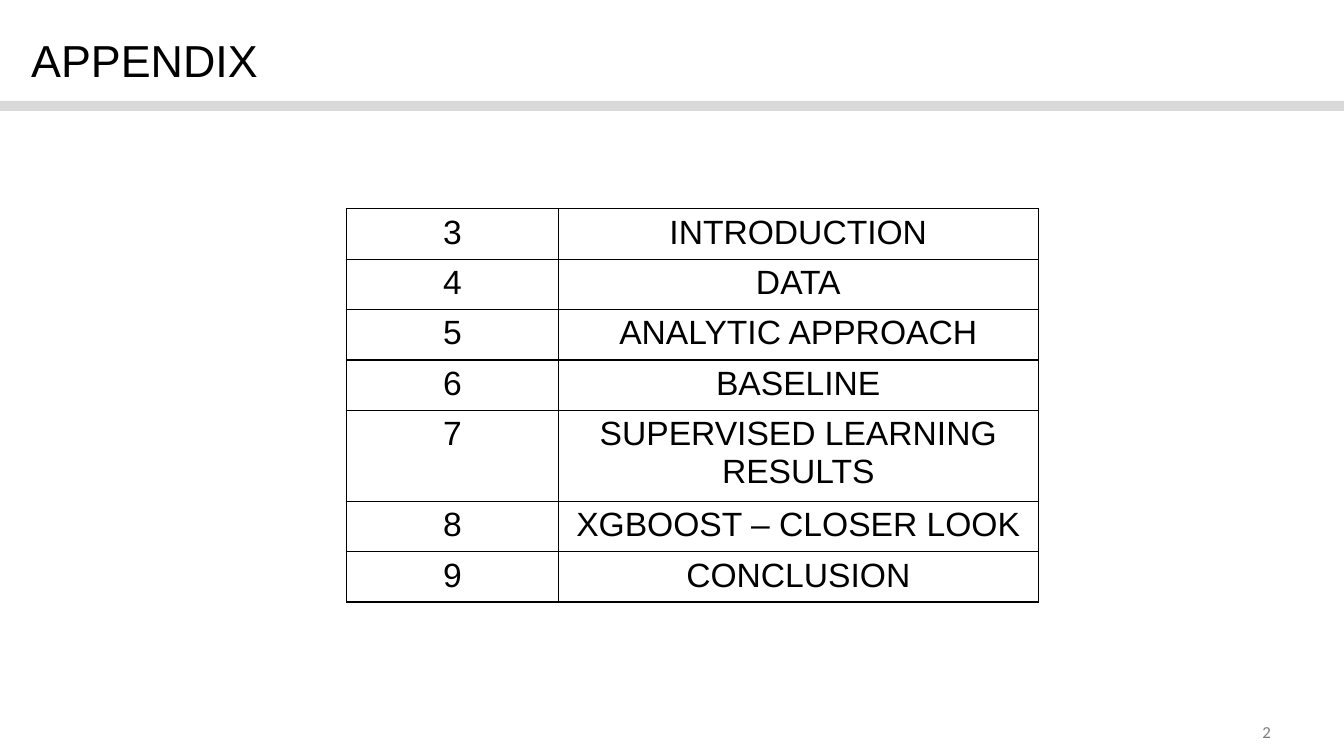
from dataclasses import dataclass

from lxml import etree
from pptx import Presentation
from pptx.dml.color import RGBColor
from pptx.enum.shapes import MSO_SHAPE
from pptx.enum.text import PP_ALIGN
from pptx.oxml.ns import qn
from pptx.util import Inches, Pt

RECT = MSO_SHAPE.RECTANGLE
CENTER = PP_ALIGN.CENTER


@dataclass(frozen=True)
class Theme:
    ink: str = "000000"
    bar: str = "D9D9D9"
    muted: str = "7E7E7E"
    title: int = 32
    body: int = 24
    small: int = 12
    font: str = "Arial"
    number_font: str = "Calibri"


class Deck:
    """Draws on one slide; lengths are percentages of its width and height."""

    def __init__(self, theme):
        self.theme = theme
        self.prs = Presentation()
        self.prs.slide_width, self.prs.slide_height = Inches(13.33), Inches(7.5)
        self.s = self.prs.slides.add_slide(self.prs.slide_layouts[6])

    def x(self, share):
        return round(self.prs.slide_width * share / 100)

    def y(self, share):
        return round(self.prs.slide_height * share / 100)

    def box(self, left, top, width, height):
        return self.x(left), self.y(top), self.x(width), self.y(height)

    def set_text(self, tf, text, size, color, font, align=None):
        p = tf.paragraphs[0]
        p.text = text
        p.alignment = align
        p.font.size, p.font.name = Pt(size), font
        p.font.color.rgb = RGBColor.from_string(color)

    def bar(self, *area):
        sp = self.s.shapes.add_shape(RECT, *self.box(*area))
        sp.shadow.inherit = False
        sp.fill.solid()
        sp.fill.fore_color.rgb = RGBColor.from_string(self.theme.bar)
        sp.line.fill.background()

    def text(self, area, text, size, color, font, left=0, top=0):
        tf = self.s.shapes.add_textbox(*self.box(*area)).text_frame
        tf.word_wrap = True
        tf.margin_left, tf.margin_top = Inches(left), Inches(top)
        tf.margin_right = tf.margin_bottom = 0
        self.set_text(tf, text, size, color, font)

    def border(self, cell):
        tc_pr = cell._tc.get_or_add_tcPr()
        for i, side in enumerate(("lnL", "lnR", "lnT", "lnB")):
            ln = etree.Element(qn(f"a:{side}"), w=str(Pt(1)))
            fill = etree.SubElement(ln, qn("a:solidFill"))
            etree.SubElement(fill, qn("a:srgbClr"), val=self.theme.ink)
            tc_pr.insert(i, ln)

    def table(self, left, top, widths, heights, rows):
        area = self.box(left, top, sum(widths), sum(heights))
        table = self.s.shapes.add_table(len(rows), len(widths), *area).table
        table.first_row = table.horz_banding = False
        for column, width in zip(table.columns, widths):
            column.width = self.x(width)
        for row, height, values in zip(table.rows, heights, rows):
            row.height = self.y(height)
            for cell, value in zip(row.cells, values):
                cell.fill.background()
                self.set_text(cell.text_frame, value, self.theme.body,
                              self.theme.ink, self.theme.font, CENTER)
                self.border(cell)


def main():
    t = Theme()
    deck = Deck(t)

    # Header
    deck.bar(0, 13.33, 100, 1.33)
    deck.text((1.58, 2.93, 76.9, 4.27), "APPENDIX", t.title, t.ink, t.font,
              left=0.1, top=0.1)

    # Contents: page and section; the longest section takes two lines
    sections = ["INTRODUCTION", "DATA", "ANALYTIC APPROACH", "BASELINE",
                "SUPERVISED LEARNING RESULTS", "XGBOOST – CLOSER LOOK",
                "CONCLUSION"]
    rows = [(str(page), name) for page, name in enumerate(sections, 3)]
    longest = max(sections, key=len)
    heights = [11.2 if name == longest else 6.3 for name in sections]
    deck.table(25.8, 27.6, (15.75, 35.7), heights, rows)

    # Page number
    deck.text((93.7, 95.47, 1.73, 2.53), "2", t.small, t.muted, t.number_font,
              left=0.03)

    deck.prs.save("out.pptx")


if __name__ == "__main__":
    main()
